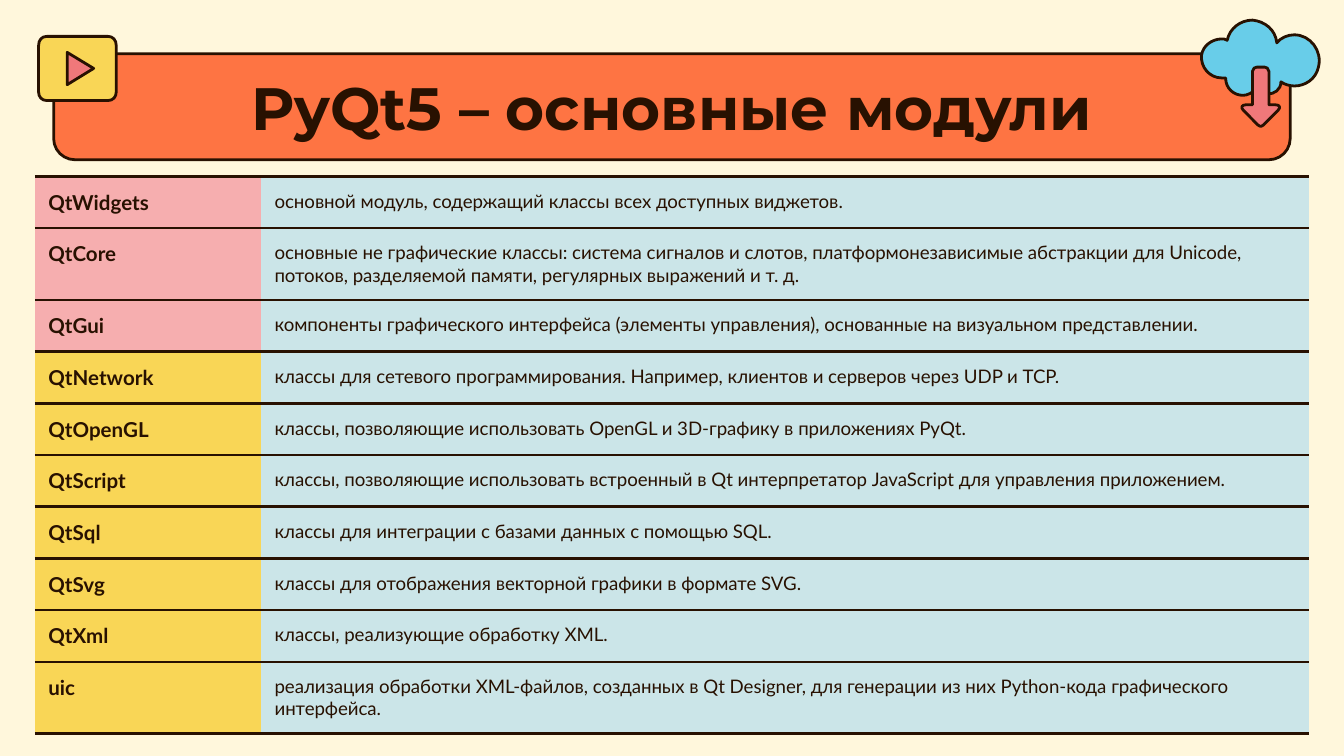
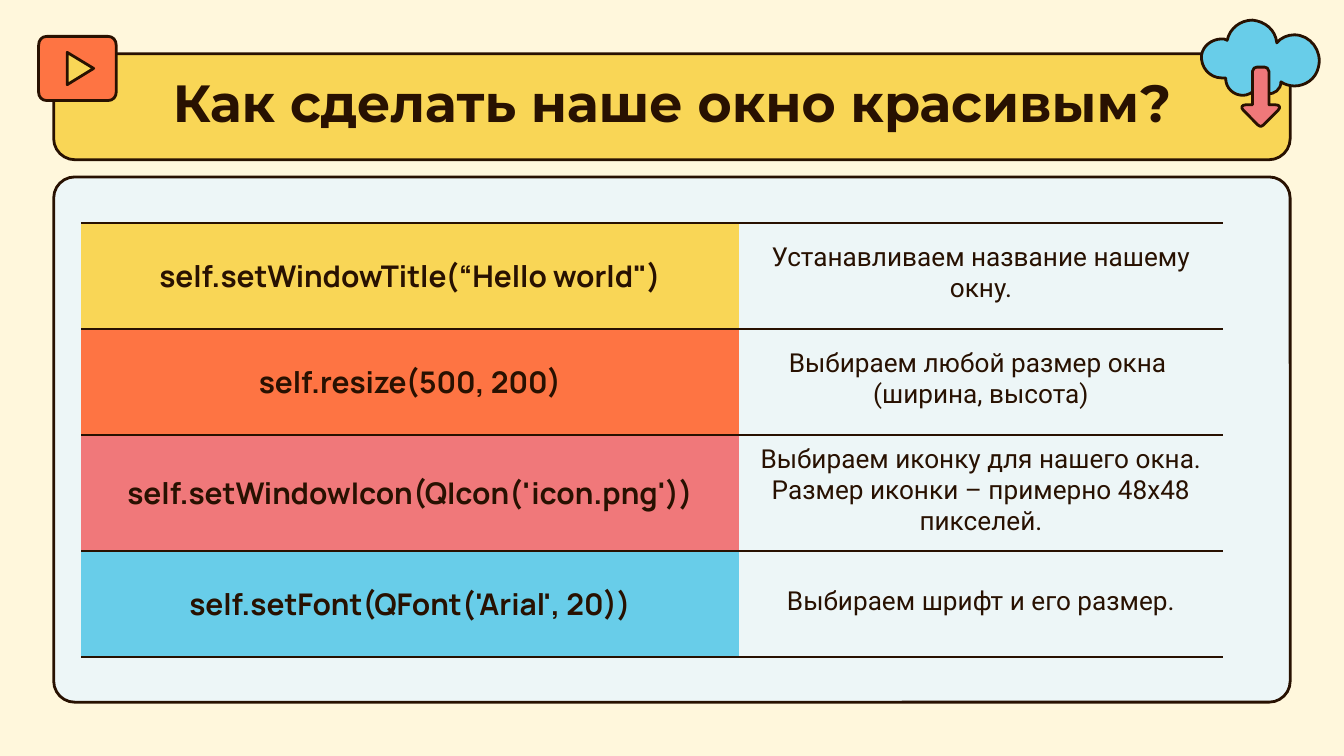
"""Builds two slides on PyQt5: its main modules and window styling calls."""
import pptx
import pptx.dml.color
import pptx.enum.shapes
import pptx.enum.text
import pptx.oxml.ns
import pptx.util
from lxml import etree

Pt = pptx.util.Pt
INK, CREAM, PANEL = "281101", "FFF7DC", "EDF6F7"
ORANGE, YELLOW, CORAL, SKY = "FE7443", "F9D656", "F0787A", "68CDE9"
PINK, MIST = "F6AEAF", "CBE5E8"
ROUNDED = pptx.enum.shapes.MSO_SHAPE.ROUNDED_RECTANGLE
TOP, MIDDLE = pptx.enum.text.MSO_ANCHOR.TOP, pptx.enum.text.MSO_ANCHOR.MIDDLE
LEFT, CENTER = pptx.enum.text.PP_ALIGN.LEFT, pptx.enum.text.PP_ALIGN.CENTER
INSET = 7.2

CLOUD_START = (671, 10.8)
CLOUD_CURVES = [
    (664.6, 10.8, 658.8, 15.1, 657.4, 21.6),
    (656.6, 20.9, 655.2, 20.9, 654.5, 20.9),
    (649.4, 20.9, 644.4, 24.5, 643.7, 29.5),
    (643, 36, 648, 41.8, 654.5, 41.8),
    (655.2, 41.8, 655.9, 41.8, 656.6, 41.8),
    (656.6, 47.5, 661, 51.1, 666, 51.1),
    (668.2, 51.1, 671, 49.7, 673.2, 47.5),
    (674.6, 49.7, 676.8, 50.4, 679, 50.4),
    (682.6, 50.4, 686.2, 48.2, 686.2, 43.9),
    (688.3, 45.4, 691.2, 46.1, 693.4, 46.1),
    (699.1, 46.1, 704.9, 42.5, 706.3, 36),
    (708.5, 27.4, 702, 18.7, 693.4, 18.7),
    (689.8, 18.7, 686.2, 20.2, 684, 23),
    (683.3, 15.8, 677.5, 11.5, 671, 10.8),
]
ARROW_AXIS = 675.4
ARROW_START = (673.2, 36)
ARROW_HALF = [
    (672.5, 36, 671, 36.7, 671, 38.2),
    (671, 56.2),
    (667.4, 56.2),
    (665.3, 56.2, 664.6, 57.6, 666, 59),
    (673.9, 67),
    (674.6, 67.7, 675.4, 67.7, 675.4, 67.7),
]
BADGE_AXIS = 41.5
BADGE_START = (25.2, 19.5)
BADGE_HALF = [
    (22.3, 19.5, 20.7, 21.6, 20.7, 24.5),
    (20.7, 49.3),
    (20.7, 51.8, 22.3, 53.9, 25.2, 53.9),
    (41.5, 53.9),
]
PLAY_START = (36, 28.1)
PLAY_SIDES = [(36, 45.4), (50.2, 36.7)]

MODULES = [
    ("QtWidgets", "основной модуль, содержащий классы всех доступных виджетов."),
    ("QtCore", "основные не графические классы: система сигналов и слотов, платформонезависимые "
               "абстракции для Unicode, потоков, разделяемой памяти, регулярных выражений и т. д."),
    ("QtGui", "компоненты графического интерфейса (элементы управления), основанные на "
              "визуальном представлении."),
    ("QtNetwork", "классы для сетевого программирования. Например, клиентов и серверов через "
                  "UDP и TCP."),
    ("QtOpenGL", "классы, позволяющие использовать OpenGL и 3D-графику в приложениях PyQt."),
    ("QtScript", "классы, позволяющие использовать встроенный в Qt интерпретатор JavaScript для "
                 "управления приложением."),
    ("QtSql", "классы для интеграции с базами данных с помощью SQL."),
    ("QtSvg", "классы для отображения векторной графики в формате SVG."),
    ("QtXml", "классы, реализующие обработку XML."),
    ("uic", "реализация обработки XML-файлов, созданных в Qt Designer, для генерации из них "
            "Python-кода графического интерфейса."),
]
CALLS = [
    ("self.setWindowTitle(“Hello world\")", "Устанавливаем название нашему окну."),
    ("self.resize(500, 200)", "Выбираем любой размер окна \n(ширина, высота)"),
    ("self.setWindowIcon(QIcon('icon.png'))",
     "Выбираем иконку для нашего окна. Размер иконки – примерно 48х48 пикселей."),
    ("self.setFont(QFont('Arial', 20))", "Выбираем шрифт и его размер."),
]


def color(hex_code):
    """Return the RGB colour for a hex string."""
    return pptx.dml.color.RGBColor.from_string(hex_code)


def paint(shape, fill):
    """Give a shape a flat fill and the ink outline."""
    shape.shadow.inherit = False
    shape.fill.solid()
    shape.fill.fore_color.rgb = color(fill)
    shape.line.color.rgb = color(INK)
    shape.line.width = Pt(1.5)


def add_rounded(shapes, left, top, width, height, ratio, fill):
    """Add an outlined rounded rectangle."""
    box = shapes.add_shape(ROUNDED, Pt(left), Pt(top), Pt(width), Pt(height))
    box.adjustments[0] = ratio
    paint(box, fill)


def pair_up(segment):
    """Split a flat segment into its points."""
    return list(zip(segment[::2], segment[1::2]))


def mirror(start, half, axis):
    """Extend half an outline with its reflection in a vertical axis."""
    whole = list(half)
    starts = [start] + [segment[-2:] for segment in half]
    for origin, segment in reversed(list(zip(starts, half))):
        back = pair_up(segment)[-2::-1] + [origin]
        whole.append(tuple(value for x, y in back for value in (2 * axis - x, y)))
    return whole


def add_outline(shapes, start, segments, fill):
    """Add a closed freeform of straight and cubic segments."""
    builder = shapes.build_freeform(Pt(start[0]), Pt(start[1]))
    points = [point for segment in segments for point in pair_up(segment)]
    builder.add_line_segments([(Pt(x), Pt(y)) for x, y in points], close=True)
    outline = builder.convert_to_shape()
    strokes = iter(list(outline._element.iter(pptx.oxml.ns.qn("a:lnTo"))))
    for segment in segments:
        first = next(strokes)
        if len(segment) == 6:
            first.tag = pptx.oxml.ns.qn("a:cubicBezTo")
            for _ in range(2):
                stroke = next(strokes)
                first.append(stroke[0])
                stroke.getparent().remove(stroke)
    paint(outline, fill)


def write(frame, text, font, size, bold, align):
    """Set the text of a frame and format its paragraphs and runs."""
    frame.word_wrap = True
    frame.text = text
    for paragraph in frame.paragraphs:
        paragraph.alignment = align
        for run in paragraph.runs:
            run.font.name = font
            run.font.size = Pt(size)
            run.font.bold = bold
            run.font.color.rgb = color(INK)


def add_title(slide, text, size):
    """Add the centred slide title."""
    frame = slide.shapes.add_textbox(Pt(56.5), Pt(30.5), Pt(607), Pt(46.8)).text_frame
    frame.margin_left = frame.margin_right = frame.margin_top = frame.margin_bottom = Pt(INSET)
    frame.vertical_anchor = TOP
    write(frame, text, "Montserrat", size, True, CENTER)


def add_download_cloud(slide):
    """Add the cloud with its download arrow."""
    shapes = slide.shapes.add_group_shape().shapes
    add_outline(shapes, CLOUD_START, CLOUD_CURVES, SKY)
    add_outline(shapes, ARROW_START, mirror(ARROW_START, ARROW_HALF, ARROW_AXIS), CORAL)


def add_play_badge(slide, badge_fill, play_fill):
    """Add the badge with the play triangle."""
    shapes = slide.shapes.add_group_shape().shapes
    add_outline(shapes, BADGE_START, mirror(BADGE_START, BADGE_HALF, BADGE_AXIS), badge_fill)
    add_outline(shapes, PLAY_START, PLAY_SIDES, play_fill)


def rule_cell(cell):
    """Draw ink lines above and below a cell and none at its sides."""
    properties = cell._tc.get_or_add_tcPr()
    for index, side in enumerate(("lnL", "lnR", "lnT", "lnB")):
        border = etree.Element(pptx.oxml.ns.qn("a:" + side), w=str(Pt(1.5)))
        if side in ("lnL", "lnR"):
            etree.SubElement(border, pptx.oxml.ns.qn("a:noFill"))
        else:
            solid = etree.SubElement(border, pptx.oxml.ns.qn("a:solidFill"))
            etree.SubElement(solid, pptx.oxml.ns.qn("a:srgbClr"), val=INK)
        properties.insert(index, border)


def add_glossary(slide, left, top, widths, row_height, entries, name_fills, note_fill,
                 styles, align, anchor, note_top):
    """Add a two-column table of names and their explanations."""
    table = slide.shapes.add_table(len(entries), 2, Pt(left), Pt(top), Pt(sum(widths)),
                                   Pt(row_height * len(entries))).table
    table.first_row = table.horz_banding = False
    for column, width in zip(table.columns, widths):
        column.width = Pt(width)
    for row, (entry, name_fill) in enumerate(zip(entries, name_fills)):
        table.rows[row].height = Pt(row_height)
        fills, tops = (name_fill, note_fill), (INSET, note_top)
        for column, text in enumerate(entry):
            cell = table.cell(row, column)
            cell.margin_left = cell.margin_right = cell.margin_bottom = Pt(INSET)
            cell.margin_top = Pt(tops[column])
            cell.vertical_anchor = anchor
            write(cell.text_frame, text, *styles[column], align)
            if fills[column]:
                cell.fill.solid()
                cell.fill.fore_color.rgb = color(fills[column])
            else:
                cell.fill.background()
            rule_cell(cell)


def add_framed_slide(deck, title, title_size, band_fill, badge_fill, play_fill, panel):
    """Add a slide with the shared background, title band and icons."""
    slide = deck.slides.add_slide(deck.slide_layouts[6])
    slide.background.fill.solid()
    slide.background.fill.fore_color.rgb = color(CREAM)
    if panel:
        add_rounded(slide.shapes, 28.8, 94.8, 662.4, 281.4, 0.04, PANEL)
    add_rounded(slide.shapes, 28.8, 28.8, 662.4, 56.8, 0.2, band_fill)
    add_download_cloud(slide)
    add_play_badge(slide, badge_fill, play_fill)
    add_title(slide, title, title_size)
    return slide


def main():
    """Build and save the deck."""
    deck = pptx.Presentation()
    deck.slide_width, deck.slide_height = Pt(720), Pt(405)

    modules = add_framed_slide(deck, "PyQt5 – основные модули", 32, ORANGE, YELLOW, CORAL, False)
    add_glossary(modules, 18.7, 94.5, (121.2, 561.4), 27.7, MODULES, [PINK] * 3 + [YELLOW] * 7,
                 MIST, (("Lato", 11, True), ("Lato", 10, False)), LEFT, TOP, INSET)

    styling = add_framed_slide(deck, "Как сделать наше окно красивым?", 28, YELLOW, ORANGE,
                               YELLOW, True)
    add_glossary(styling, 43.4, 119.4, (352.6, 259.1), 56.8, CALLS,
                 [YELLOW, ORANGE, CORAL, SKY], None,
                 (("Manrope", 16, True), ("Roboto", 14, False)), CENTER, MIDDLE, 4.7)
    deck.save("out.pptx")


if __name__ == "__main__":
    main()
